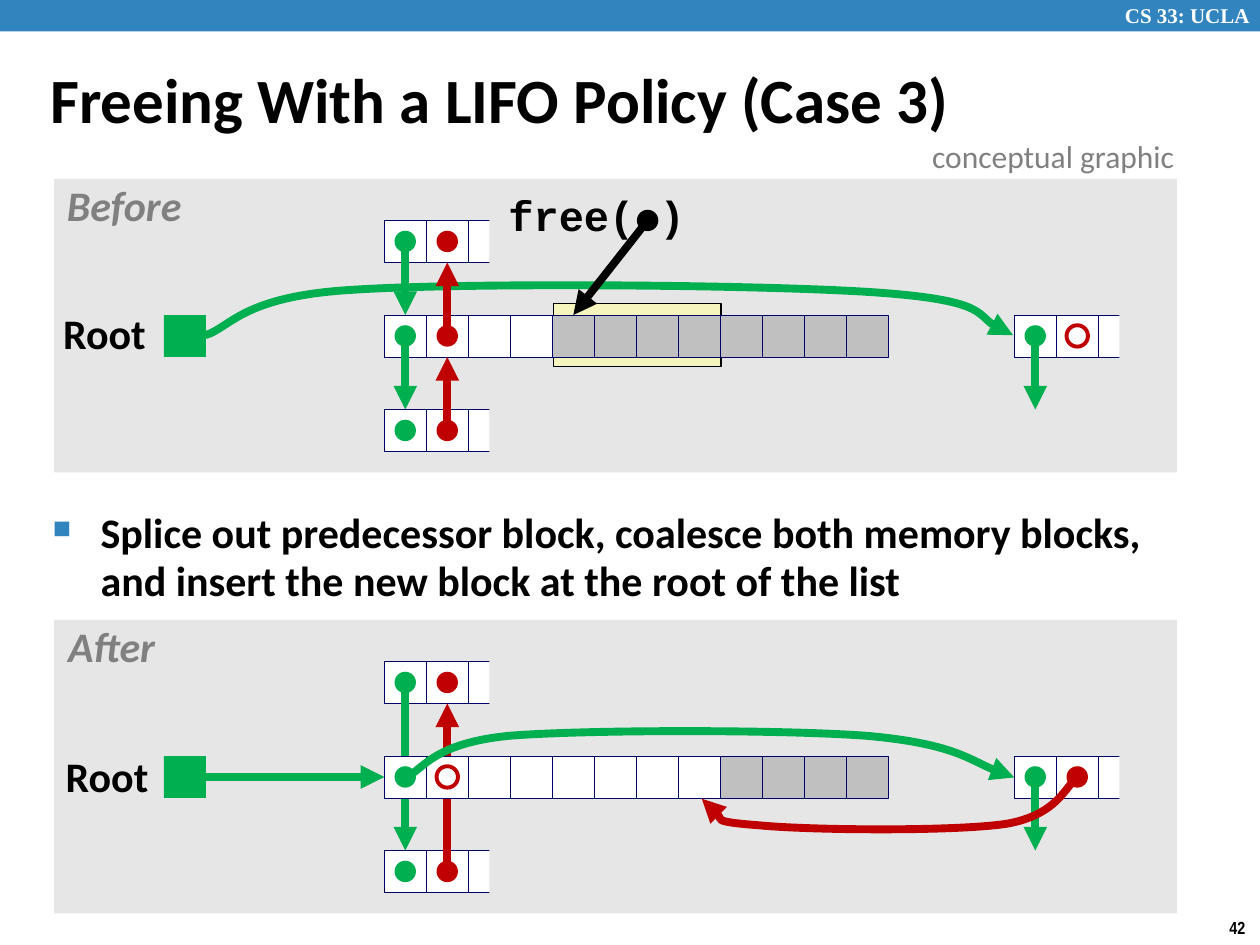
from lxml import etree
from pptx import Presentation
from pptx.dml.color import RGBColor
from pptx.enum.shapes import MSO_CONNECTOR, MSO_SHAPE
from pptx.enum.text import MSO_ANCHOR, PP_ALIGN
from pptx.oxml.ns import qn
from pptx.util import Inches, Pt

RECTANGLE = MSO_SHAPE.RECTANGLE
OVAL = MSO_SHAPE.OVAL
STRAIGHT = MSO_CONNECTOR.STRAIGHT
LEFT = PP_ALIGN.LEFT
CENTER = PP_ALIGN.CENTER
TOP = MSO_ANCHOR.TOP
MIDDLE = MSO_ANCHOR.MIDDLE

COLORS = {
    "bar": "3284BF",
    "panel": "E6E6E6",
    "next": "00B050",
    "previous": "C00000",
    "free": "FFFFFF",
    "allocated": "C0C0C0",
    "cell_line": "000066",
    "highlight": "F6F5BD",
    "text": "000000",
    "muted": "808080",
    "white": "FFFFFF",
}

CELL = 1 / 3
DOT = 0.17
LIST_X, TAIL_X, ROOT_X = 2.62, 7.62, 0.87
UPPER_Y, ROW_Y, LOWER_Y = 0.33, 1.08, 1.83
NEXT_X, PREVIOUS_X = LIST_X + CELL / 2, LIST_X + 1.5 * CELL
TAIL_NEXT_X, TAIL_PREVIOUS_X = TAIL_X + CELL / 2, TAIL_X + 1.5 * CELL
UPPER_MID, ROW_MID, LOWER_MID = (y + CELL / 2 for y in (UPPER_Y, ROW_Y, LOWER_Y))


def color(name):
    return RGBColor.from_string(COLORS[name])


def add_block(slide, kind, box, fill=None, line=None, width=0.25):
    shape = slide.shapes.add_shape(kind, *map(Inches, box))
    shape.shadow.inherit = False
    if fill:
        shape.fill.solid()
        shape.fill.fore_color.rgb = color(fill)
    else:
        shape.fill.background()
    if line:
        shape.line.color.rgb = color(line)
        shape.line.width = Pt(width)
    else:
        shape.line.fill.background()
    return shape


def add_text(slide, box, text, size, name="text", font="Calibri", bold=True, italic=False,
             align=LEFT, anchor=TOP, spacing=1.0, inset=None, wrap=False):
    frame = slide.shapes.add_textbox(*map(Inches, box)).text_frame
    frame.word_wrap = wrap
    frame.vertical_anchor = anchor
    if inset is not None:
        frame.margin_left = frame.margin_right = Inches(inset)
        frame.margin_top = frame.margin_bottom = Inches(inset)
    paragraph = frame.paragraphs[0]
    paragraph.alignment = align
    paragraph.line_spacing = spacing
    run = paragraph.add_run()
    run.text = text
    run.font.size = Pt(size)
    run.font.name = font
    run.font.bold = bold
    run.font.italic = italic
    run.font.color.rgb = color(name)
    return paragraph


def add_label(slide, box, text, **style):
    add_text(slide, box, text, 24, align=CENTER, spacing=0.9, inset=0.05, **style)


def style_arrow(shape, name):
    shape.line.color.rgb = color(name)
    shape.line.width = Pt(4.5)
    line = shape.element.spPr.find(qn("a:ln"))
    etree.SubElement(line, qn("a:tailEnd"), type="triangle")


def add_arrow(slide, left, top, start, end, name):
    ends = (left + start[0], top + start[1], left + end[0], top + end[1])
    connector = slide.shapes.add_connector(STRAIGHT, *map(Inches, ends))
    style_arrow(connector, name)
    etree.SubElement(connector.element.spPr, qn("a:effectLst"))


def add_curved_arrow(slide, left, top, points, name):
    placed = [(Inches(left + x), Inches(top + y)) for x, y in points]
    builder = slide.shapes.build_freeform(*placed[0])
    builder.add_line_segments(placed[1:], close=False)
    shape = builder.convert_to_shape()
    outline = shape.element.spPr.find(".//" + qn("a:path"))
    segments = outline.findall(qn("a:lnTo"))
    for first in range(0, len(segments), 3):
        curve = etree.SubElement(outline, qn("a:cubicBezTo"))
        for segment in segments[first:first + 3]:
            curve.append(segment[0])
            outline.remove(segment)
    shape.shadow.inherit = False
    shape.fill.background()
    style_arrow(shape, name)


def add_dot(slide, left, top, x, y, fill=None, line=None):
    box = (left + x - DOT / 2, top + y - DOT / 2, DOT, DOT)
    add_block(slide, OVAL, box, fill, line, 2.25)


def add_cells(slide, left, top, fills):
    for index, fill in enumerate(fills):
        add_block(slide, RECTANGLE, (left + index * CELL, top, CELL, CELL), fill, "cell_line")


def add_cut_block(slide, left, top):
    add_cells(slide, left, top, ["free"] * 3)
    add_block(slide, RECTANGLE, (left + 2.5 * CELL, top - 0.08, CELL, 0.5), "panel")


def draw_panel_base(slide, left, top, width, height):
    add_block(slide, RECTANGLE, (left, top, width, height), "panel")
    for x, y in ((LIST_X, UPPER_Y), (LIST_X, LOWER_Y), (TAIL_X, ROW_Y)):
        add_cut_block(slide, left + x, top + y)


def draw_memory_row(slide, left, top, free_cells):
    fills = ["free"] * free_cells + ["allocated"] * (12 - free_cells)
    add_cells(slide, left + LIST_X, top + ROW_Y, fills)
    add_block(slide, RECTANGLE, (left + ROOT_X, top + ROW_Y, CELL, CELL), "next")
    for y in (UPPER_MID, ROW_MID, LOWER_MID):
        add_dot(slide, left, top, NEXT_X, y, "next")
    for y in (UPPER_MID, LOWER_MID):
        add_dot(slide, left, top, PREVIOUS_X, y, "previous")
    add_dot(slide, left, top, TAIL_NEXT_X, ROW_MID, "next")
    add_arrow(slide, left, top, (TAIL_NEXT_X, ROW_MID), (TAIL_NEXT_X, LOWER_Y), "next")


def draw_before(slide, left, top, width, height):
    draw_panel_base(slide, left, top, width, height)
    add_block(slide, RECTANGLE, (left + 3.96, top + 0.99, 4 * CELL, 0.5),
              "highlight", "text", 0.75)
    add_curved_arrow(slide, left, top, [
        (1.2, 1.24), (1.4, 1.18), (1.49, 0.93), (2.37, 0.88), (3.26, 0.82),
        (5.63, 0.84), (6.51, 0.9), (7.38, 0.96), (7.38, 1.17), (7.61, 1.24)], "next")
    draw_memory_row(slide, left, top, 4)
    add_dot(slide, left, top, PREVIOUS_X, ROW_MID, "previous")
    add_dot(slide, left, top, TAIL_PREVIOUS_X, ROW_MID, line="previous")
    for upper, lower in ((UPPER_Y, ROW_Y), (ROW_Y, LOWER_Y)):
        add_arrow(slide, left, top, (NEXT_X, upper + CELL / 2), (NEXT_X, lower), "next")
        add_arrow(slide, left, top, (PREVIOUS_X, lower + CELL / 2),
                  (PREVIOUS_X, upper + CELL), "previous")
    add_label(slide, (left + 3.55, top + 0.08, 1.51, 0.47), "free( )", font="Courier New")
    add_dot(slide, left, top, 4.71, 0.33, "text")
    add_arrow(slide, left, top, (4.71, 0.33), (4.12, ROW_Y), "text")
    add_label(slide, (left + 0.02, top + 1.02, 0.76, 0.47), "Root")
    add_label(slide, (left + 0.04, top, 1.03, 0.47), "Before", name="muted", italic=True)


def draw_after(slide, left, top, width, height):
    draw_panel_base(slide, left, top, width, height)
    add_arrow(slide, left, top, (PREVIOUS_X, LOWER_MID), (PREVIOUS_X, UPPER_Y + CELL), "previous")
    add_arrow(slide, left, top, (NEXT_X, UPPER_MID), (NEXT_X, LOWER_Y), "next")
    draw_memory_row(slide, left, top, 8)
    add_dot(slide, left, top, TAIL_PREVIOUS_X, ROW_MID, "previous")
    add_arrow(slide, left, top, (1.12, ROW_MID), (LIST_X, ROW_MID), "next")
    add_dot(slide, left, top, PREVIOUS_X, ROW_MID, line="previous")
    add_curved_arrow(slide, left, top, [
        (2.79, 1.25), (2.93, 1.19), (3, 0.98), (3.61, 0.92), (4.22, 0.87),
        (5.78, 0.87), (6.45, 0.92), (7.12, 0.98), (7.38, 1.18), (7.62, 1.25)], "next")
    add_curved_arrow(slide, left, top, [
        (8.12, 1.25), (8.03, 1.31), (7.97, 1.55), (7.55, 1.62), (7.13, 1.68),
        (5.99, 1.67), (5.59, 1.63), (5.19, 1.6), (5.23, 1.47), (5.14, 1.42)], "previous")
    add_label(slide, (left + 0.04, top + 1.03, 0.76, 0.47), "Root")
    add_label(slide, (left + 0.05, top, 0.81, 0.47), "After", name="muted", italic=True)


def draw_frame(slide, left, top, width, height):
    add_block(slide, RECTANGLE, (left, top, width, 0.25), "bar")
    add_text(slide, (left + 8.83, top - 0.03, 1.24, 0.3), "CS 33: UCLA", 12, "white",
             "Times New Roman", wrap=True)
    add_text(slide, (left + width - 0.34, top + height - 0.27, 0.34, 0.27), "42", 10,
             font="Arial Narrow")
    add_text(slide, (left + 0.3, top + 0.39, 9.53, 0.86),
             "Freeing With a LIFO Policy (Case 3)", 36, anchor=MIDDLE, spacing=0.87, wrap=True)
    add_text(slide, (left + 7.3, top + 1.04, 2.17, 0.4), "conceptual graphic", 18, "muted",
             bold=False)


def draw_bullet(slide, left, top, width, height):
    paragraph = add_text(
        slide, (left, top, width, height),
        "Splice out predecessor block, coalesce both memory blocks, "
        "and insert the new block at the root of the list", 24, spacing=0.95, wrap=True)
    properties = paragraph._p.get_or_add_pPr()
    properties.set("marL", str(Inches(0.38)))
    properties.set("indent", str(-Inches(0.38)))
    bullet_color = etree.SubElement(properties, qn("a:buClr"))
    etree.SubElement(bullet_color, qn("a:srgbClr"), val=COLORS["bar"])
    etree.SubElement(properties, qn("a:buSzPct"), val="60000")
    etree.SubElement(properties, qn("a:buChar"), char="■")


def main():
    presentation = Presentation()
    presentation.slide_width = Inches(10)
    presentation.slide_height = Inches(7.5)
    slide = presentation.slides.add_slide(presentation.slide_layouts[6])
    draw_frame(slide, 0, 0, 10, 7.5)
    draw_before(slide, 0.43, 1.42, 8.91, 2.33)
    draw_bullet(slide, 0.32, 4, 9.09, 0.86)
    draw_after(slide, 0.43, 4.92, 8.91, 2.33)
    presentation.save("out.pptx")


if __name__ == "__main__":
    main()
